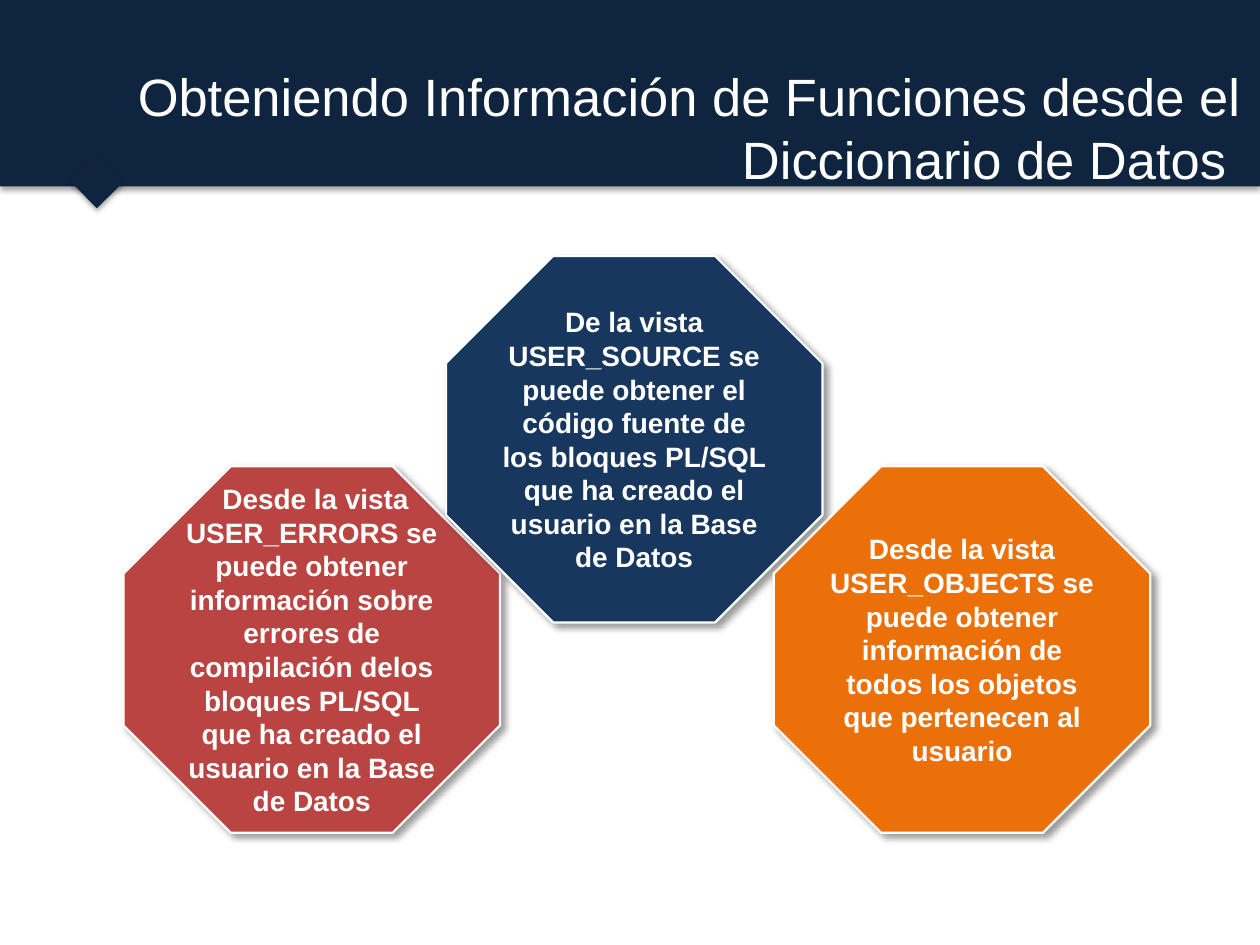
from dataclasses import dataclass

import lxml.etree
import pptx
import pptx.dml.color
import pptx.enum.shapes
import pptx.enum.text
import pptx.oxml.ns
import pptx.shapes.autoshape
import pptx.text.text
import pptx.util
from pptx.util import Cm

COLORS = {
    "banner": "0F243E",
    "errors": "B94441",
    "source": "17375E",
    "objects": "EC700A",
    "white": "FFFFFF",
    "shadow": "000000",
}
FONT = "Arial"
OCTAGON_WIDTH, OCTAGON_HEIGHT = Cm(7.59), Cm(7.39)
UPPER_TOP, LOWER_TOP = Cm(5.16), Cm(9.4)


@dataclass(frozen=True)
class Shadow:
    """Blur and distance in points, direction in degrees, opacity in percent."""
    opacity: int
    blur: float
    distance: float
    direction: int


@dataclass(frozen=True)
class ViewCard:
    left: pptx.util.Length
    top: pptx.util.Length
    color: str
    description: str


BANNER_SHADOW = Shadow(35, 3.1, 1.8, 90)
CARD_SHADOW = Shadow(40, 4, 3, 45)

VIEW_CARDS = [
    ViewCard(Cm(2.49), LOWER_TOP, "errors",
             " Desde la vista USER_ERRORS se puede obtener información sobre "
             "errores de compilación delos bloques PL/SQL que ha creado el "
             "usuario en la Base de Datos"),
    ViewCard(Cm(8.99), UPPER_TOP, "source",
             "De la vista USER_SOURCE se puede obtener el código fuente de los "
             "bloques PL/SQL que ha creado el usuario en la Base de Datos"),
    ViewCard(Cm(15.6), LOWER_TOP, "objects",
             "Desde la vista USER_OBJECTS se puede obtener información de todos "
             "los objetos que pertenecen al usuario"),
]


def rgb(name: str) -> pptx.dml.color.RGBColor:
    return pptx.dml.color.RGBColor.from_string(COLORS[name])


def cast_shadow(shape: pptx.shapes.autoshape.Shape, shadow: Shadow) -> None:
    shape.shadow.inherit = False
    qn = pptx.oxml.ns.qn
    effects = shape._element.spPr.find(qn("a:effectLst"))
    outer = lxml.etree.SubElement(
        effects, qn("a:outerShdw"),
        blurRad=str(pptx.util.Pt(shadow.blur)),
        dist=str(pptx.util.Pt(shadow.distance)),
        dir=str(shadow.direction * 60000), rotWithShape="0")
    tint = lxml.etree.SubElement(outer, qn("a:srgbClr"), val=COLORS["shadow"])
    lxml.etree.SubElement(tint, qn("a:alpha"), val=str(shadow.opacity * 1000))


def write_text(frame: pptx.text.text.TextFrame, text: str, size: int,
               alignment: pptx.enum.text.PP_ALIGN, bold: bool) -> None:
    frame.text = text
    frame.word_wrap = True
    frame.auto_size = pptx.enum.text.MSO_AUTO_SIZE.NONE
    frame.vertical_anchor = pptx.enum.text.MSO_ANCHOR.MIDDLE
    paragraph = frame.paragraphs[0]
    paragraph.alignment = alignment
    font = paragraph.runs[0].font
    font.name, font.size, font.bold = FONT, pptx.util.Pt(size), bold
    font.color.rgb = rgb("white")


def add_banner_part(slide, left: float, top: float, width: float,
                    height: float, rotation: float = 0) -> None:
    """Add a dark rectangle, measured in centimetres."""
    part = slide.shapes.add_shape(
        pptx.enum.shapes.MSO_SHAPE.RECTANGLE,
        Cm(left), Cm(top), Cm(width), Cm(height))
    part.rotation = rotation
    part.fill.solid()
    part.fill.fore_color.rgb = rgb("banner")
    part.line.fill.background()
    cast_shadow(part, BANNER_SHADOW)


def add_heading(slide, text: str) -> None:
    """Fill the title placeholder and bring it in front of the banner."""
    heading = slide.shapes.title
    heading.left, heading.top = Cm(0.89), Cm(0.53)
    heading.width, heading.height = Cm(24.38), Cm(4.06)
    write_text(heading.text_frame, text, 30,
               pptx.enum.text.PP_ALIGN.RIGHT, bold=False)
    slide.shapes._spTree.append(heading._element)


def add_view_card(slide, card: ViewCard) -> None:
    octagon = slide.shapes.add_shape(
        pptx.enum.shapes.MSO_SHAPE.OCTAGON,
        card.left, card.top, OCTAGON_WIDTH, OCTAGON_HEIGHT)
    octagon.fill.solid()
    octagon.fill.fore_color.rgb = rgb(card.color)
    octagon.line.color.rgb = rgb("white")
    octagon.line.width = pptx.util.Pt(1.25)
    cast_shadow(octagon, CARD_SHADOW)
    frame = octagon.text_frame
    frame.margin_left = frame.margin_right = 0
    frame.margin_top = frame.margin_bottom = 0
    write_text(frame, card.description, 16,
               pptx.enum.text.PP_ALIGN.CENTER, bold=True)


def main() -> None:
    presentation = pptx.Presentation()
    presentation.slide_width, presentation.slide_height = Cm(25.4), Cm(19.05)
    title_only = presentation.slide_layouts.get_by_name("Title Only")
    slide = presentation.slides.add_slide(title_only)
    add_banner_part(slide, 0, 0, 25.4, 3.76)
    add_banner_part(slide, 1.57, 3.3, 0.76, 0.74, rotation=45.6)
    add_heading(slide, "Obteniendo Información de Funciones desde el "
                       "Diccionario de Datos ")
    for card in VIEW_CARDS:
        add_view_card(slide, card)
    presentation.save("out.pptx")


if __name__ == "__main__":
    main()
